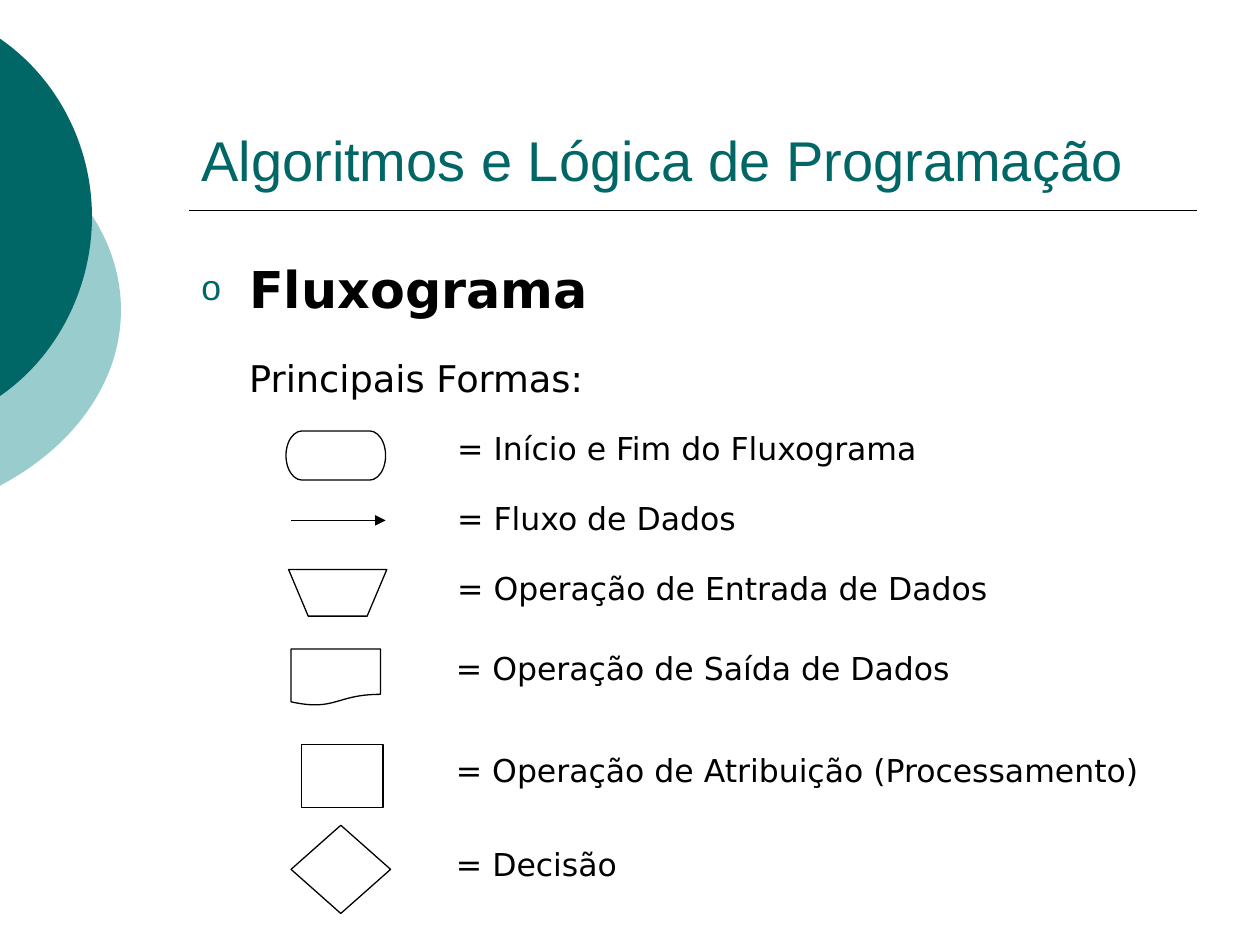
from dataclasses import dataclass

from lxml import etree
from pptx import Presentation
from pptx import util as u
from pptx.dml.color import RGBColor
from pptx.enum import shapes, text
from pptx.oxml import ns


@dataclass(frozen=True)
class Theme:
    teal: str = "006666"
    pale_teal: str = "99CCCC"
    ink: str = "000000"
    paper: str = "FFFFFF"
    title_font: str = "Arial"
    body_font: str = "DejaVu Sans"
    title_size: int = 32
    topic_size: int = 29
    intro_size: int = 21
    label_size: int = 18
    rule_width: float = 1
    symbol_width: float = 0.75


def add_xml(parent, tag, **attributes):
    return etree.SubElement(parent, ns.qn(tag), attributes)


class FlowchartSlide:
    def __init__(self, slide, theme):
        self.slide = slide
        self.theme = theme

    def paint(self, shape, fill, line=None):
        shape.shadow.inherit = False
        shape.fill.solid()
        shape.fill.fore_color.rgb = RGBColor.from_string(fill)
        if line:
            shape.line.color.rgb = RGBColor.from_string(line)
            shape.line.width = u.Pt(self.theme.symbol_width)
        else:
            shape.line.fill.background()

    def arc(self, frame, top, middle, bottom, bulge, color):
        left, frame_top, width, height = frame
        right = left + width
        corners = [(left, frame_top), (right, frame_top), (right, frame_top + height)]
        corners = [(u.Inches(x), u.Inches(y)) for x, y in corners]
        builder = self.slide.shapes.build_freeform(*corners[0])
        builder.add_line_segments(corners[1:], close=True)
        disc = builder.convert_to_shape()
        outline = disc._element.find(".//" + ns.qn("a:path"))
        for segment in list(outline):
            outline.remove(segment)
        edge, rise, swell = -0.01, 0.32, 0.56
        segments = [
            ("a:moveTo", [(edge, top)]),
            ("a:cubicBezTo", [(bulge, top + rise), (right, middle - swell), (right, middle)]),
            ("a:cubicBezTo", [(right, middle + swell), (bulge, bottom - rise), (edge, bottom)]),
        ]
        for tag, points in segments:
            segment = add_xml(outline, tag)
            for x, y in points:
                add_xml(segment, "a:pt", x=str(u.Inches(x - left)), y=str(u.Inches(y - frame_top)))
        add_xml(outline, "a:close")
        self.paint(disc, color)

    def line(self, left, right, y, width, arrow=False):
        connector = self.slide.shapes.add_connector(
            shapes.MSO_CONNECTOR.STRAIGHT,
            u.Inches(left), u.Inches(y), u.Inches(right), u.Inches(y),
        )
        connector.line.color.rgb = RGBColor.from_string(self.theme.ink)
        connector.line.width = u.Pt(width)
        if arrow:
            add_xml(connector.line._get_or_add_ln(), "a:tailEnd", type="triangle")
        add_xml(connector._element.spPr, "a:effectLst")

    def symbol(self, kind, left, top, width, height):
        shape = self.slide.shapes.add_shape(
            kind, u.Inches(left), u.Inches(top), u.Inches(width), u.Inches(height)
        )
        self.paint(shape, self.theme.paper, self.theme.ink)

    def text_frame(self, left, top, width, height, anchor=text.MSO_ANCHOR.TOP):
        box = self.slide.shapes.add_textbox(
            u.Inches(left), u.Inches(top), u.Inches(width), u.Inches(height)
        )
        box.text_frame.word_wrap = True
        box.text_frame.vertical_anchor = anchor
        return box.text_frame

    def run(self, paragraph, wording, size, color, font, bold=False):
        run = paragraph.add_run()
        run.text = wording
        run.font.size = u.Pt(size)
        run.font.name = font
        run.font.bold = bold
        run.font.color.rgb = RGBColor.from_string(color)

    def title(self, wording):
        frame = self.text_frame(1.5, 0.33, 8, 1.25, text.MSO_ANCHOR.BOTTOM)
        theme = self.theme
        self.run(frame.paragraphs[0], wording, theme.title_size, theme.teal, theme.title_font)

    def body(self, topic, intro):
        theme = self.theme
        frame = self.text_frame(1.5, 2, 8, 4.98)
        heading = frame.paragraphs[0]
        self.indent(heading, 0.38, -0.38)
        self.bullet(heading, "o")
        self.run(heading, topic, theme.topic_size, theme.ink, theme.body_font, bold=True)
        lead = frame.add_paragraph()
        self.indent(lead, 0.38, 0)
        lead.space_before = u.Pt(21)
        self.run(lead, intro, theme.intro_size, theme.ink, theme.body_font)

    def indent(self, paragraph, margin, first_line):
        properties = paragraph._p.get_or_add_pPr()
        properties.set("marL", str(u.Inches(margin)))
        properties.set("indent", str(u.Inches(first_line)))

    def bullet(self, paragraph, mark):
        properties = paragraph._p.get_or_add_pPr()
        add_xml(add_xml(properties, "a:buClr"), "a:srgbClr", val=self.theme.teal)
        add_xml(properties, "a:buSzPct", val="70000")
        add_xml(properties, "a:buFont", typeface=self.theme.title_font)
        add_xml(properties, "a:buChar", char=mark)

    def label(self, wording, left, top, width=4.49):
        frame = self.text_frame(left, top, width, 0.4)
        theme = self.theme
        self.run(frame.paragraphs[0], wording, theme.label_size, theme.ink, theme.body_font)


def main():
    presentation = Presentation()
    presentation.slide_width = u.Inches(10)
    presentation.slide_height = u.Inches(7.5)
    theme = Theme()
    page = FlowchartSlide(presentation.slides.add_slide(presentation.slide_layouts[6]), theme)

    page.arc((-3.54, 0.75, 4.5, 3.42), 1.06, 2.46, 3.86, 0.6, theme.pale_teal)
    page.arc((-2.65, 0, 3.38, 3.45), 0.3, 1.72, 3.15, 0.46, theme.teal)
    page.line(1.5, 9.5, 1.67, theme.rule_width)
    page.title("Algoritmos e Lógica de Programação")
    page.body("Fluxograma", "Principais Formas:")

    page.line(2.31, 3.06, 4.13, theme.symbol_width, arrow=True)
    kinds = shapes.MSO_SHAPE
    symbols = [
        (kinds.RECTANGLE, 2.39, 5.91, 0.65, 0.5),
        (kinds.DIAMOND, 2.31, 6.55, 0.79, 0.7),
        (kinds.FLOWCHART_MANUAL_OPERATION, 2.29, 4.52, 0.78, 0.37),
        (kinds.FLOWCHART_DOCUMENT, 2.31, 5.15, 0.71, 0.45),
        (kinds.FLOWCHART_TERMINATOR, 2.27, 3.42, 0.79, 0.39),
    ]
    for symbol in symbols:
        page.symbol(*symbol)

    meanings = [
        ("= Início e Fim do Fluxograma", 3.53, 3.36),
        ("= Fluxo de Dados", 3.53, 3.91),
        ("= Operação de Entrada de Dados", 3.53, 4.47),
        ("= Operação de Saída de Dados", 3.52, 5.1),
        ("= Operação de Atribuição (Processamento)", 3.52, 5.91, 5.73),
        ("= Decisão", 3.52, 6.66),
    ]
    for meaning in meanings:
        page.label(*meaning)

    presentation.save("out.pptx")


if __name__ == "__main__":
    main()
